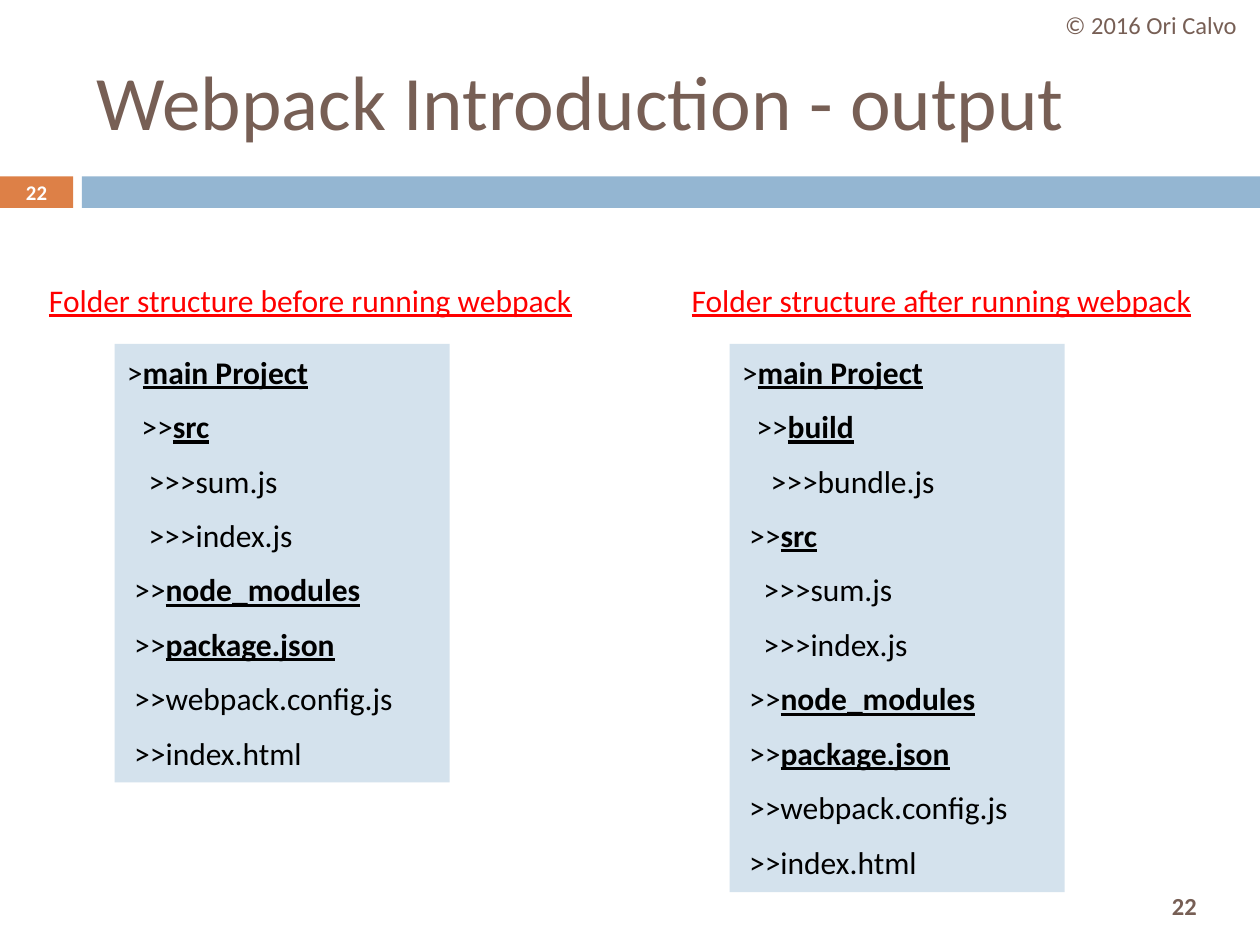
from dataclasses import dataclass
from pptx import Presentation
from pptx.dml.color import RGBColor
from pptx.enum.shapes import MSO_SHAPE
from pptx.enum.text import MSO_ANCHOR, PP_ALIGN
from pptx.util import Inches, Pt


@dataclass(frozen=True)
class Theme:
    font: str = "Calibri"
    brown: str = "775F55"
    orange: str = "DD8047"
    blue: str = "94B6D2"
    pale: str = "D4E2ED"
    red: str = "FF0000"
    black: str = "000000"
    white: str = "FFFFFF"
    title: float = 44
    body: float = 18
    note: float = 14
    badge: float = 11.9
    step: float = 0.057


class Painter:
    def __init__(self, slide, theme):
        self.slide = slide
        self.theme = theme

    def style(self, para, size, color, bold=None, under=None):
        font = para.font
        font.name = self.theme.font
        font.size = Pt(size)
        font.color.rgb = RGBColor.from_string(color)
        font.bold = bold
        font.underline = under

    def block(self, box, color):
        shape = self.slide.shapes.add_shape(
            MSO_SHAPE.RECTANGLE, *map(Inches, box))
        shape.shadow.inherit = False
        shape.fill.solid()
        shape.fill.fore_color.rgb = RGBColor.from_string(color)
        shape.line.fill.background()
        return shape

    def text(self, box, words, size, color, align=PP_ALIGN.LEFT,
             anchor=MSO_ANCHOR.MIDDLE, bold=None, under=None):
        frame = self.slide.shapes.add_textbox(*map(Inches, box)).text_frame
        frame.word_wrap = True
        frame.vertical_anchor = anchor
        para = frame.paragraphs[0]
        para.text = words
        para.alignment = align
        self.style(para, size, color, bold, under)

    def tree(self, box, rows):
        frame = self.block(box, self.theme.pale).text_frame
        frame.word_wrap = True
        frame.vertical_anchor = MSO_ANCHOR.TOP
        for i, (depth, shift, name, strong) in enumerate(rows):
            para = frame.add_paragraph() if i else frame.paragraphs[0]
            para.alignment = PP_ALIGN.LEFT
            para.line_spacing = 1.07
            para.space_after = Pt(8)
            props = para._p.get_or_add_pPr()
            props.set("marL", str(Inches(shift * self.theme.step)))
            props.set("indent", "0")
            self.style(para, self.theme.body, self.theme.black)
            para.add_run().text = ">" * depth
            label = para.add_run()
            label.text = name
            if strong:
                label.font.bold = True
                label.font.underline = True


def main():
    deck = Presentation()
    deck.slide_width, deck.slide_height = Inches(10), Inches(7.5)
    theme = Theme()
    page = Painter(deck.slides.add_slide(deck.slide_layouts[6]), theme)
    mid = PP_ALIGN.CENTER

    page.block((0, 1.4, 0.58, 0.25), theme.orange)
    page.block((0.65, 1.4, 9.35, 0.25), theme.blue)
    page.text((8.94, 6.98, 0.92, 0.42), "22", theme.note, theme.brown,
              mid, bold=True)
    page.text((0.67, 0.25, 8.92, 1.08), "Webpack Introduction - output",
              theme.title, theme.brown)
    page.text((8.27, 0, 1.73, 0.4), "© 2016 Ori Calvo",
              theme.note, theme.brown, mid)
    page.text((0, 1.39, 0.58, 0.27), "22", theme.badge, theme.white,
              mid, bold=True)

    root = [(1, 0, "main Project", True)]
    build = [(2, 2, "build", True), (3, 4, "bundle.js", False)]
    rest = [
        (3, 3, "sum.js", False),
        (3, 3, "index.js", False),
        (2, 1, "node_modules", True),
        (2, 1, "package.json", True),
        (2, 1, "webpack.config.js", False),
        (2, 1, "index.html", False),
    ]
    before = root + [(2, 2, "src", True)] + rest
    after = root + build + [(2, 1, "src", True)] + rest
    sides = [
        ("before", 0.29, 0.91, 3.48, before),
        ("after", 5.39, 5.79, 4.35, after),
    ]
    for when, head, left, high, rows in sides:
        page.tree((left, 2.73, 2.66, high), rows)
        page.text((head, 2.18, 4.41, 0.4),
                  f"Folder structure {when} running webpack",
                  theme.body, theme.red, anchor=MSO_ANCHOR.TOP, under=True)

    deck.save("out.pptx")


if __name__ == "__main__":
    main()
